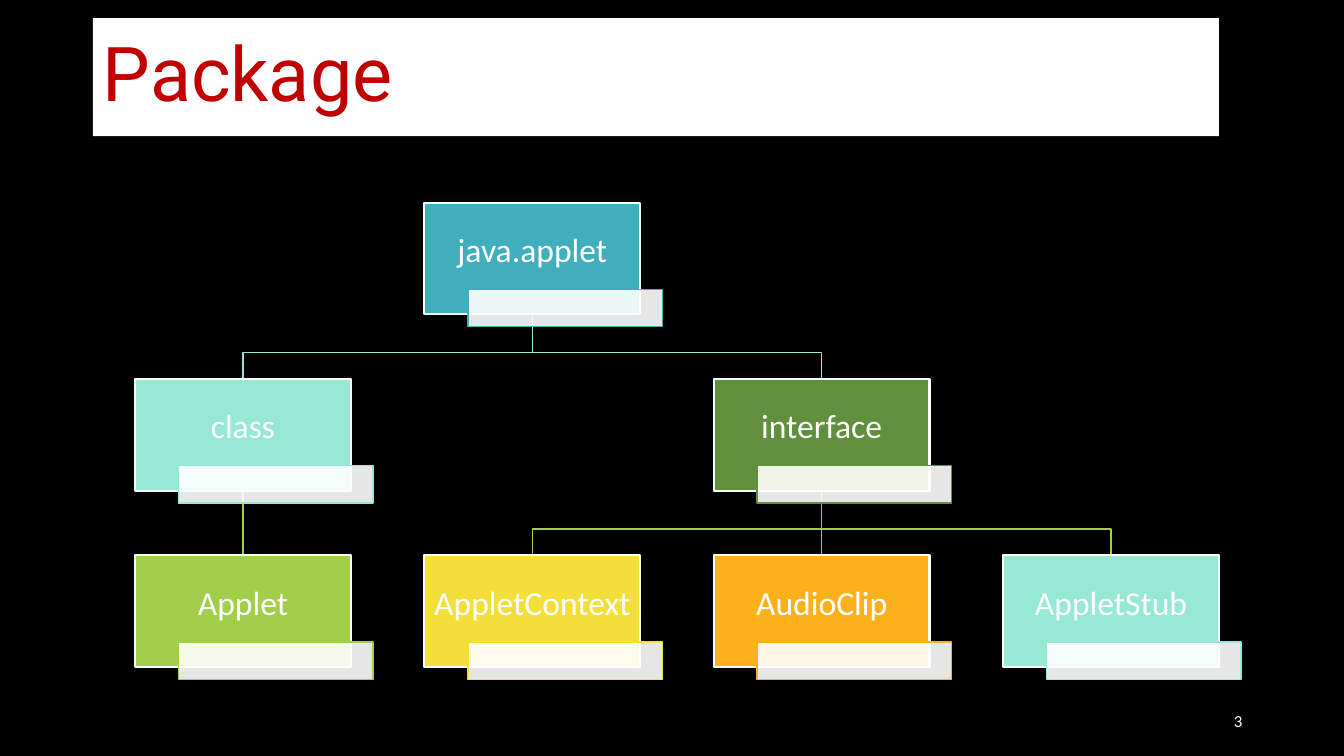
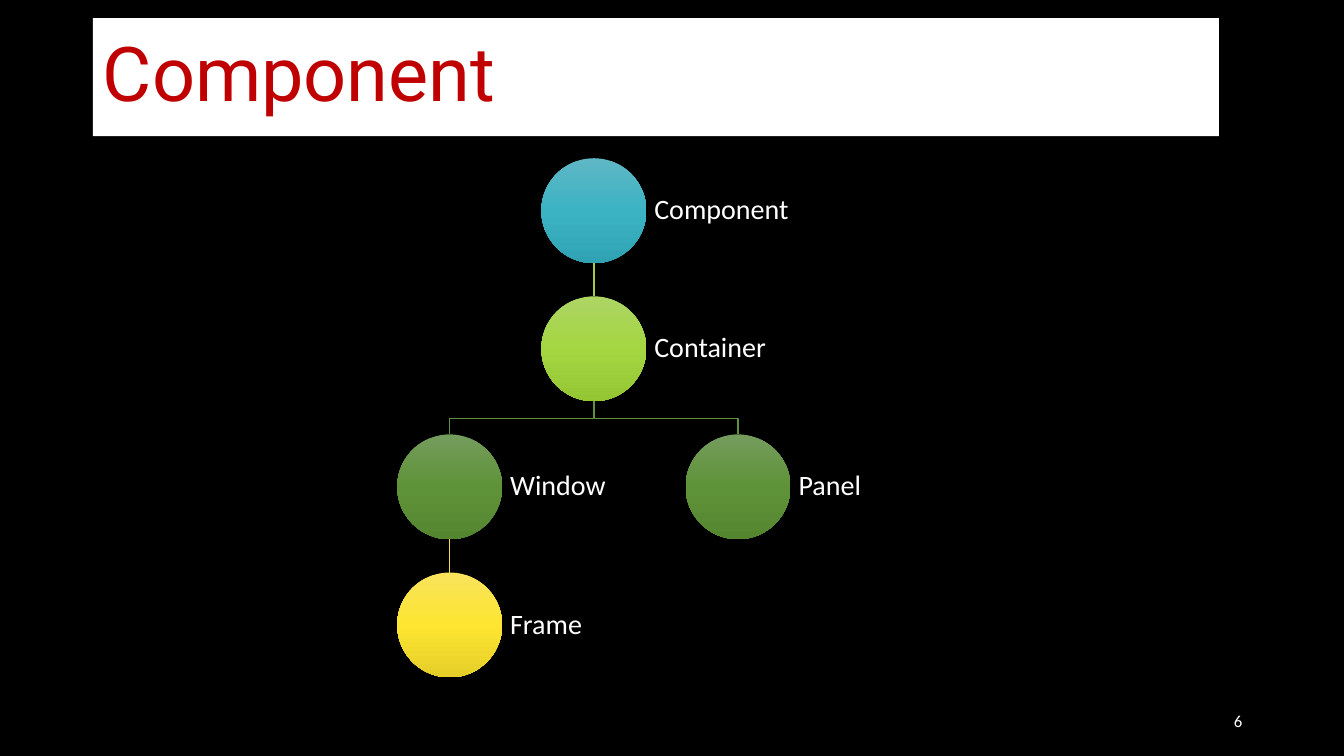
from copy import deepcopy
from dataclasses import dataclass
from typing import Callable, Optional

from lxml.etree import SubElement
from pptx import Presentation
from pptx.dml.color import RGBColor
from pptx.enum.shapes import MSO_CONNECTOR as Connector, MSO_SHAPE as Preset
from pptx.enum.text import MSO_ANCHOR as Anchor, MSO_AUTO_SIZE as AutoSize, PP_ALIGN as Align
from pptx.oxml.ns import qn
from pptx.util import Inches, Pt


# Theme: colours, fonts and type sizes
@dataclass(frozen=True)
class Theme:
    black: str = "000000"
    white: str = "FFFFFF"
    red: str = "C00000"
    teal: str = "41AEBD"
    mint: str = "97E9D5"
    lime: str = "A2CF49"
    green: str = "608F3D"
    yellow: str = "F4DE3A"
    orange: str = "FCB11C"
    teal_shades: tuple = ("5FB7C5", "3BB3C3", "2FA3B3")
    lime_shades: tuple = ("ACD564", "A4D642", "94C533")
    green_shades: tuple = ("749C5C", "5F9339", "54862F")
    yellow_shades: tuple = ("F8E35C", "FDE531", "E5CE27")
    title_font: str = "Roboto"
    body_font: str = "Calibri"
    title_size: int = 54
    box_size: int = 24
    label_size: int = 20
    number_size: int = 12


THEME = Theme()


@dataclass(frozen=True)
class Node:
    label: str
    column: int
    row: int
    colour: str | tuple
    parent: Optional[str] = None


@dataclass(frozen=True)
class Tree:
    left: float
    top: float
    column_step: float
    row_step: float
    width: float
    height: float
    bend: float  # height of the horizontal run above the child
    link_colours: tuple
    draw_node: Callable
    nodes: tuple

    def corner(self, node: Node) -> tuple[float, float]:
        return (self.left + node.column * self.column_step,
                self.top + node.row * self.row_step)


# Formatting helpers
def write(shape, text: str, *, size: int, colour: str = THEME.white,
          font: str = THEME.body_font, align=Align.LEFT, spacing: float = 0.9,
          insets: tuple = (0.1, 0.05, 0.1, 0.05)) -> None:
    frame = shape.text_frame
    frame.word_wrap = True
    frame.auto_size = AutoSize.NONE
    frame.vertical_anchor = Anchor.MIDDLE
    (frame.margin_left, frame.margin_top,
     frame.margin_right, frame.margin_bottom) = map(Inches, insets)
    para = frame.paragraphs[0]
    para.alignment = align
    para.line_spacing = spacing
    span = para.add_run()
    span.text = text
    span.font.name = font
    span.font.size = Pt(size)
    span.font.color.rgb = RGBColor.from_string(colour)


def fill_solid(shape, colour: str, opacity: int = 100) -> None:
    shape.fill.solid()
    shape.fill.fore_color.rgb = RGBColor.from_string(colour)
    if opacity < 100:
        value = shape.element.spPr.find(qn("a:solidFill"))[0]
        SubElement(value, qn("a:alpha"), val=str(opacity * 1000))


def fill_shades(shape, shades: tuple) -> None:
    shape.fill.gradient()
    shape.fill.gradient_angle = 270
    stop_list = shape.element.spPr.find(qn("a:gradFill")).find(qn("a:gsLst"))
    stop_list.append(deepcopy(stop_list[0]))
    for index, (stop, shade) in enumerate(zip(shape.fill.gradient_stops, shades)):
        stop.position = index / 2
        stop.color.rgb = RGBColor.from_string(shade)


def set_line(shape, colour: str, width: float = 1) -> None:
    shape.line.color.rgb = RGBColor.from_string(colour)
    shape.line.width = Pt(width)


def add_preset(page, preset, left: float, top: float, width: float, height: float):
    shape = page.shapes.add_shape(preset, *map(Inches, (left, top, width, height)))
    shape.shadow.inherit = False
    return shape


# Tree parts
def draw_box(page, tree: Tree, node: Node) -> None:
    left, top = tree.corner(node)
    box = add_preset(page, Preset.RECTANGLE, left, top, tree.width, tree.height)
    fill_solid(box, node.colour)
    set_line(box, THEME.white, 1.5)
    write(box, node.label, size=THEME.box_size, align=Align.CENTER,
          insets=(0.02, 0.02, 0.02, 0.16))
    tab = add_preset(page, Preset.RECTANGLE, left + 0.43, top + 0.86, 1.93, 0.37)
    fill_solid(tab, THEME.white, opacity=90)
    set_line(tab, node.colour)


def draw_circle(page, tree: Tree, node: Node) -> None:
    left, top = tree.corner(node)
    circle = add_preset(page, Preset.OVAL, left, top, tree.width, tree.height)
    fill_shades(circle, node.colour)
    circle.line.fill.background()
    label = page.shapes.add_textbox(*map(Inches, (left + tree.width, top, 1.56, tree.height)))
    write(label, node.label, size=THEME.label_size, insets=(0.08,) * 4)


def draw_link(page, tree: Tree, parent: Node, child: Node) -> None:
    (start_x, start_y), (end_x, end_y) = tree.corner(parent), tree.corner(child)
    start_x, end_x = (Inches(x + tree.width / 2) for x in (start_x, end_x))
    start_y, turn_y, end_y = map(Inches, (start_y + tree.height, end_y - tree.bend, end_y))
    colour = tree.link_colours[child.row - 1]
    if parent.column == child.column:
        link = page.shapes.add_connector(Connector.STRAIGHT, start_x, start_y, end_x, end_y)
        set_line(link, colour)
        SubElement(link.element.spPr, qn("a:effectLst"))
        return
    builder = page.shapes.build_freeform(start_x, start_y)
    builder.add_line_segments([(start_x, turn_y), (end_x, turn_y), (end_x, end_y)], close=False)
    link = builder.convert_to_shape()
    link.shadow.inherit = False
    link.fill.background()
    set_line(link, colour)


def draw_tree(page, tree: Tree) -> None:
    by_label = {node.label: node for node in tree.nodes}
    for node in tree.nodes:
        if node.parent:
            draw_link(page, tree, by_label[node.parent], node)
    for node in tree.nodes:
        tree.draw_node(page, tree, node)


# Shared slide frame
def add_page(deck, title: str, number: int, tree: Tree) -> None:
    page = deck.slides.add_slide(deck.slide_layouts[5])
    band = page.shapes.title
    band.left, band.top, band.width, band.height = map(Inches, (0.92, 0.18, 11.17, 1.17))
    fill_solid(band, THEME.white)
    write(band, title, size=THEME.title_size, colour=THEME.red, font=THEME.title_font)
    draw_tree(page, tree)
    corner = page.shapes.add_textbox(*map(Inches, (9.42, 6.95, 3, 0.4)))
    write(corner, str(number), size=THEME.number_size, align=Align.RIGHT, spacing=1.0)


# Slide content
PACKAGE = Tree(
    left=1.34, top=2.01, column_step=2.87, row_step=1.75, width=2.14, height=1.11,
    bend=0.26, link_colours=(THEME.mint, THEME.lime), draw_node=draw_box,
    nodes=(
        Node("java.applet", 1, 0, THEME.teal),
        Node("class", 0, 1, THEME.mint, "java.applet"),
        Node("interface", 2, 1, THEME.green, "java.applet"),
        Node("Applet", 0, 2, THEME.lime, "class"),
        Node("AppletContext", 1, 2, THEME.yellow, "interface"),
        Node("AudioClip", 2, 2, THEME.orange, "interface"),
        Node("AppletStub", 3, 2, THEME.mint, "interface"),
    ))

COMPONENT = Tree(
    left=3.94, top=1.57, column_step=1.43, row_step=1.37, width=1.04, height=1.04,
    bend=0.16, link_colours=(THEME.lime, THEME.green, THEME.yellow), draw_node=draw_circle,
    nodes=(
        Node("Component", 1, 0, THEME.teal_shades),
        Node("Container", 1, 1, THEME.lime_shades, "Component"),
        Node("Window", 0, 2, THEME.green_shades, "Container"),
        Node("Panel", 2, 2, THEME.green_shades, "Container"),
        Node("Frame", 0, 3, THEME.yellow_shades, "Window"),
    ))


def main() -> None:
    deck = Presentation()
    deck.slide_width, deck.slide_height = Inches(13.33), Inches(7.5)
    backdrop = deck.slide_master.background.fill
    backdrop.solid()
    backdrop.fore_color.rgb = RGBColor.from_string(THEME.black)
    add_page(deck, "Package", 3, PACKAGE)
    add_page(deck, "Component", 6, COMPONENT)
    deck.save("out.pptx")


if __name__ == "__main__":
    main()
